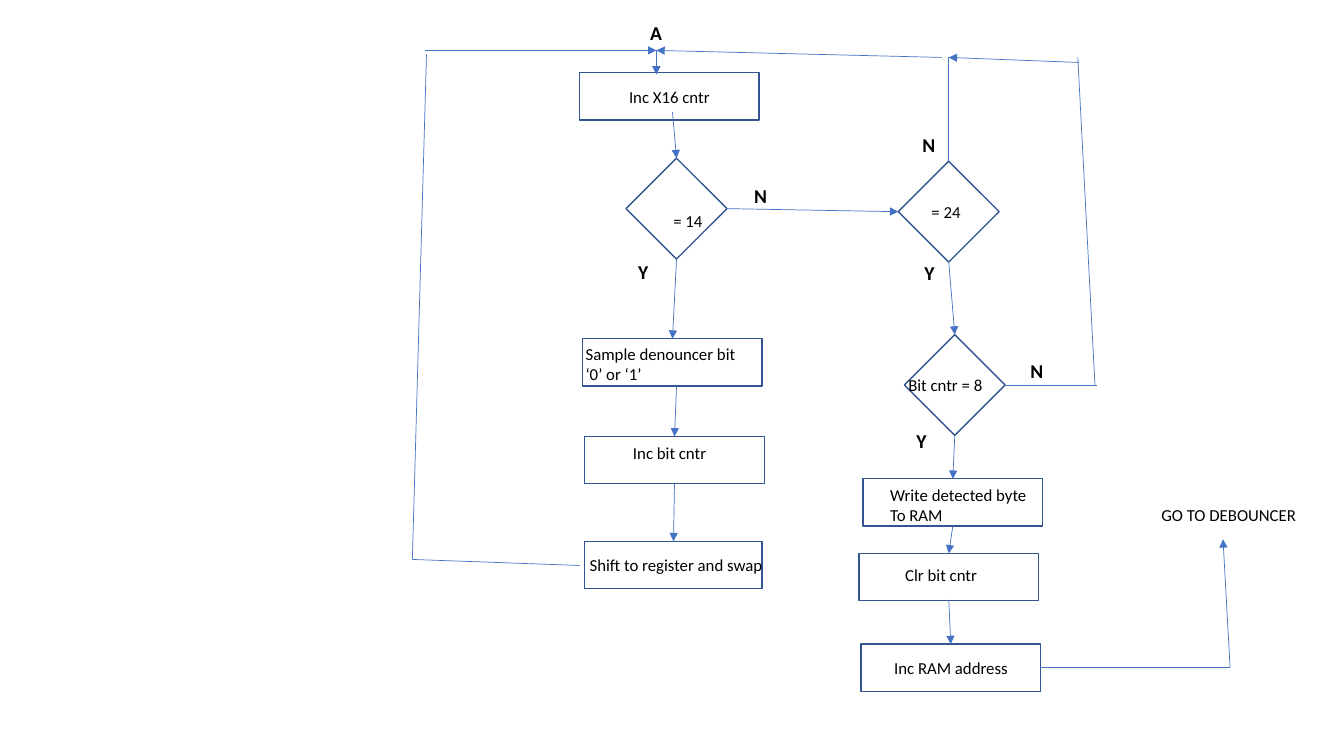
from typing import NamedTuple

from lxml.etree import SubElement
from pptx import Presentation
from pptx.dml.color import RGBColor
from pptx.enum.shapes import MSO_CONNECTOR as Connector, MSO_SHAPE as Preset
from pptx.enum.text import MSO_AUTO_SIZE as AutoSize
from pptx.oxml.ns import qn
from pptx.util import Inches, Pt

OUTLINE = RGBColor(0x32, 0x54, 0x91)
FLOW = RGBColor(0x44, 0x72, 0xC4)
BLACK = RGBColor(0, 0, 0)
FONT = "Calibri"
BOX_WIDTH, BOX_HEIGHT, DIAMOND_SIDE = 1.78, 0.47, 1.0


class Node(NamedTuple):
    left: float
    top: float
    width: float = BOX_WIDTH
    height: float = BOX_HEIGHT
    preset: Preset = Preset.RECTANGLE


class Label(NamedTuple):
    text: str
    left: float
    top: float
    width: float


class Flow(NamedTuple):
    start: tuple[float, float]
    end: tuple[float, float]
    arrow: bool = True


def decision(left: float, top: float) -> Node:
    return Node(left, top, DIAMOND_SIDE, DIAMOND_SIDE, Preset.DIAMOND)


# Process boxes and decisions
NODES = [
    Node(5.75, 0.72),
    decision(6.21, 1.57),
    Node(5.78, 3.36),
    Node(5.8, 4.33),
    Node(5.8, 5.37, width=1.76),
    decision(8.91, 1.6),
    decision(8.97, 3.32),
    Node(8.56, 4.75),
    Node(8.52, 5.49),
    Node(8.54, 6.39),
]

# Step captions
CAPTIONS = [
    Label("Inc X16 cntr", 6.14, 0.81, 1.05),
    Label("= 14", 6.58, 2.04, 0.54),
    Label("Sample denouncer bit\n‘0’ or ‘1’", 5.71, 3.36, 1.74),
    Label("Inc bit cntr", 6.18, 4.34, 0.97),
    Label("Shift to register and swap", 5.75, 5.45, 1.94),
    Label("= 24", 9.14, 1.95, 0.54),
    Label("Bit cntr = 8", 8.91, 3.67, 0.95),
    Label("Write detected byte\nTo RAM", 8.73, 4.76, 1.57),
    Label("Clr bit cntr", 8.88, 5.55, 1.0),
    Label("Inc RAM address", 8.77, 6.48, 1.34),
    Label("GO TO DEBOUNCER", 11.42, 4.96, 1.56),
]

# Entry point and branch letters
MARKS = [
    Label("A", 6.35, 0.16, 0.32),
    Label("Y", 6.23, 2.53, 0.3),
    Label("Y", 9.07, 2.54, 0.3),
    Label("Y", 8.99, 4.21, 0.3),
    Label("N", 7.38, 1.78, 0.42),
    Label("N", 9.05, 1.27, 0.42),
    Label("N", 10.12, 3.51, 0.42),
]

ENTRY = (6.51, 0.5)
RETURN_TOP = (9.41, 0.57)
FLOWS = [
    # Left column
    Flow(ENTRY, (6.51, 0.74)),
    Flow((6.67, 1.11), (6.71, 1.57)),
    Flow((6.71, 2.57), (6.67, 3.36)),
    Flow((6.71, 3.83), (6.69, 4.33)),
    Flow((6.69, 4.79), (6.68, 5.37)),
    # Left loop back to the entry
    Flow((5.75, 5.61), (4.09, 5.55), arrow=False),
    Flow((4.09, 5.55), (4.23, 0.54), arrow=False),
    Flow((4.22, 0.5), ENTRY),
    # Right column
    Flow((7.21, 2.07), (8.91, 2.1)),
    Flow((9.41, 2.6), (9.47, 3.32)),
    Flow((9.47, 4.32), (9.45, 4.75)),
    Flow((9.45, 5.22), (9.41, 5.49)),
    Flow((9.41, 5.95), (9.43, 6.39)),
    # Right loops back to the entry
    Flow((9.41, 1.6), RETURN_TOP, arrow=False),
    Flow((9.34, 0.57), ENTRY),
    Flow((9.97, 3.82), (10.88, 3.82), arrow=False),
    Flow((10.86, 3.82), (10.69, 0.57), arrow=False),
    Flow((10.7, 0.62), RETURN_TOP),
    # Exit to the debouncer
    Flow((10.32, 6.62), (12.2, 6.62), arrow=False),
    Flow((12.2, 6.62), (12.13, 5.35)),
]


def draw_node(page, node: Node) -> None:
    shape = page.shapes.add_shape(
        node.preset, Inches(node.left), Inches(node.top),
        Inches(node.width), Inches(node.height))
    shape.shadow.inherit = False
    shape.fill.background()
    shape.line.color.rgb = OUTLINE
    shape.line.width = Pt(1)


def draw_label(page, label: Label, *, size: float = 12, bold: bool = False) -> None:
    lines = label.text.split("\n")
    height = 0.1 + len(lines) * size / 60
    box = page.shapes.add_textbox(
        Inches(label.left), Inches(label.top), Inches(label.width), Inches(height))
    frame = box.text_frame
    frame.word_wrap = False
    frame.auto_size = AutoSize.SHAPE_TO_FIT_TEXT
    for index, line in enumerate(lines):
        para = frame.add_paragraph() if index else frame.paragraphs[0]
        span = para.add_run()
        span.text = line
        span.font.name = FONT
        span.font.size = Pt(size)
        span.font.bold = bold
        span.font.color.rgb = BLACK


def draw_flow(page, flow: Flow) -> None:
    ends = [Inches(value) for value in (*flow.start, *flow.end)]
    connector = page.shapes.add_connector(Connector.STRAIGHT, *ends)
    connector.line.color.rgb = FLOW
    connector.line.width = Pt(0.5)
    properties = connector._element.spPr
    if flow.arrow:
        SubElement(properties.find(qn("a:ln")), qn("a:tailEnd"), type="triangle")
    SubElement(properties, qn("a:effectLst"))


def main() -> None:
    deck = Presentation()
    deck.slide_width, deck.slide_height = Inches(13.33), Inches(7.5)
    page = deck.slides.add_slide(deck.slide_layouts[6])
    for node in NODES:
        draw_node(page, node)
    for flow in FLOWS:
        draw_flow(page, flow)
    for caption in CAPTIONS:
        draw_label(page, caption)
    for mark in MARKS:
        draw_label(page, mark, size=14, bold=True)
    deck.save("out.pptx")


if __name__ == "__main__":
    main()
